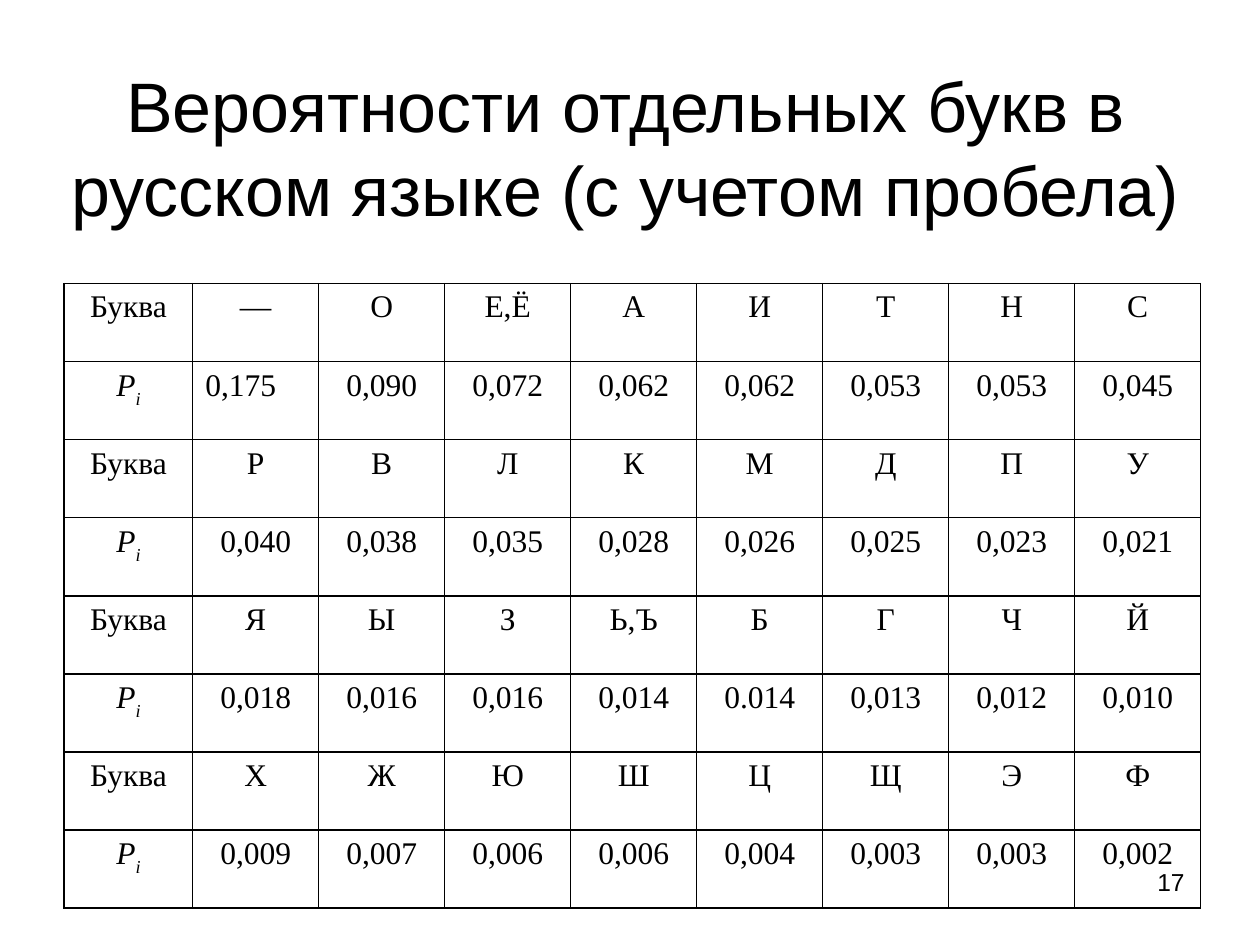
from dataclasses import dataclass

from lxml.etree import SubElement
from pptx import Presentation
from pptx.dml.color import RGBColor
from pptx.enum.text import MSO_ANCHOR, PP_ALIGN as Align
from pptx.oxml.ns import qn
from pptx.util import Inches, Pt

BLACK = "000000"
SANS, SERIF = "Arial", "Times New Roman"
FIRST_COLUMN, COLUMN, ROW = 1.02, 1.0, 0.62
HANGING = 0.38


@dataclass
class Band:
    """A row of letters with the row of their probabilities below it."""
    letters: str
    probabilities: str

    def rows(self) -> list[list[str]]:
        return [["Буква", *self.letters.split()], ["Pi", *self.probabilities.split()]]


BANDS = [
    Band("— О Е,Ё А И Т Н С", "0,175 0,090 0,072 0,062 0,062 0,053 0,053 0,045"),
    Band("Р В Л К М Д П У", "0,040 0,038 0,035 0,028 0,026 0,025 0,023 0,021"),
    Band("Я Ы З Ь,Ъ Б Г Ч Й", "0,018 0,016 0,016 0,014 0.014 0,013 0,012 0,010"),
    Band("Х Ж Ю Ш Ц Щ Э Ф", "0,009 0,007 0,006 0,006 0,004 0,003 0,003 0,002"),
]


def color(value: str) -> RGBColor:
    return RGBColor.from_string(value)


def format_runs(paragraph, size: float, font: str, alignment) -> None:
    paragraph.alignment = alignment
    for run in paragraph.runs:
        run.font.size = Pt(size)
        run.font.name = font
        run.font.color.rgb = color(BLACK)


def draw_borders(cell) -> None:
    properties = cell._tc.get_or_add_tcPr()
    for side in ("lnL", "lnR", "lnT", "lnB"):
        line = SubElement(properties, qn(f"a:{side}"), w=str(Pt(1)))
        fill = SubElement(line, qn("a:solidFill"))
        SubElement(fill, qn("a:srgbClr"), val=BLACK)


def fill_cell(cell, text: str) -> None:
    draw_borders(cell)
    cell.fill.background()
    paragraph = cell.text_frame.paragraphs[0]
    if text == "Pi":
        symbol, index = paragraph.add_run(), paragraph.add_run()
        symbol.text, index.text = text
        symbol.font.italic = index.font.italic = True
        index.font._element.set("baseline", "-30000")
    else:
        paragraph.text = text
    format_runs(paragraph, 18, SERIF, Align.JUSTIFY if text == "0,175" else Align.CENTER)
    indents = paragraph._p.get_or_add_pPr()
    indents.set("marL", str(Inches(HANGING)))
    indents.set("indent", str(-Inches(HANGING)))


def add_probability_table(slide, bands: list[Band]) -> None:
    rows = [row for band in bands for row in band.rows()]
    columns = len(rows[0])
    width = FIRST_COLUMN + COLUMN * (columns - 1)
    table = slide.shapes.add_table(
        len(rows), columns, Inches(0.51), Inches(2.25), Inches(width), Inches(ROW * len(rows))
    ).table
    table.first_row = table.horz_banding = False
    for number, column in enumerate(table.columns):
        column.width = Inches(COLUMN if number else FIRST_COLUMN)
    for table_row, texts in zip(table.rows, rows):
        table_row.height = Inches(ROW)
        for cell, text in zip(table_row.cells, texts):
            fill_cell(cell, text)


def set_title(slide, text: str) -> None:
    title = slide.shapes.title
    title.left, title.top, title.width, title.height = map(Inches, (0.43, 0.3, 9.07, 1.72))
    title.text_frame.text = text
    title.text_frame.vertical_anchor = MSO_ANCHOR.MIDDLE
    format_runs(title.text_frame.paragraphs[0], 40, SANS, Align.CENTER)


def add_page_number(slide, number: int) -> None:
    box = slide.shapes.add_textbox(*map(Inches, (7.17, 6.83, 2.33, 0.52)))
    box.text_frame.word_wrap = True
    box.text_frame.text = str(number)
    format_runs(box.text_frame.paragraphs[0], 14, SANS, Align.RIGHT)


def main() -> None:
    presentation = Presentation()
    presentation.slide_width, presentation.slide_height = Inches(10), Inches(7.5)
    slide = presentation.slides.add_slide(presentation.slide_layouts[5])
    set_title(slide, "Вероятности отдельных букв в русском языке (с учетом пробела)")
    add_probability_table(slide, BANDS)
    add_page_number(slide, 17)
    presentation.save("out.pptx")


if __name__ == "__main__":
    main()
